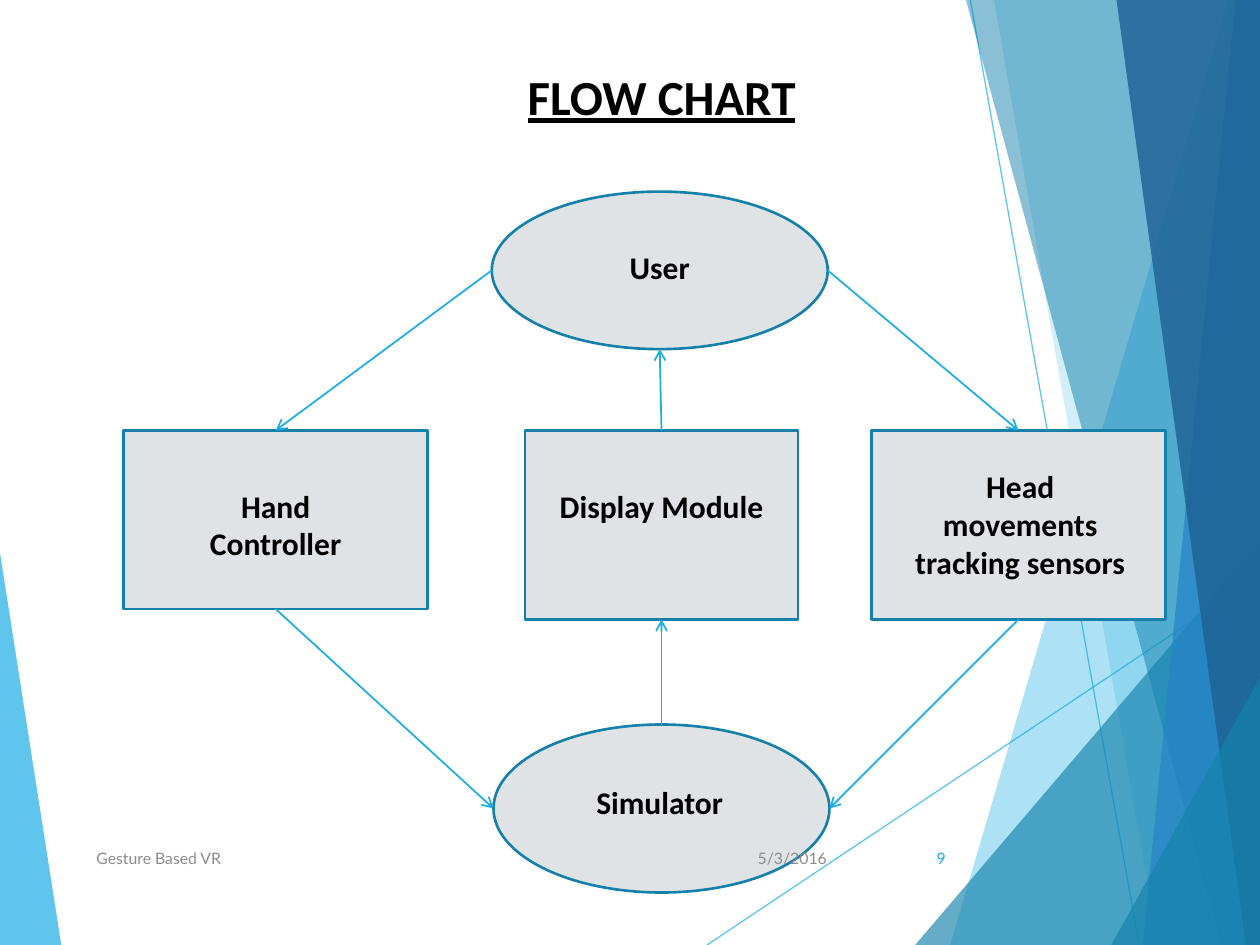
import pptx
import pptx.util
import pptx.dml.color
import pptx.enum.shapes
import pptx.enum.text
import pptx.oxml
import pptx.oxml.ns

Pt = pptx.util.Pt
RGB = pptx.dml.color.RGBColor
MSO = pptx.enum.shapes.MSO_SHAPE
ALIGN = pptx.enum.text.PP_ALIGN
ANCHOR = pptx.enum.text.MSO_ANCHOR
AUTO = pptx.enum.text.MSO_AUTO_SIZE

SKY = RGB(0x1C, 0xAD, 0xE4)
TEAL = RGB(0x14, 0x82, 0xAC)
BLUE = RGB(0x26, 0x83, 0xC6)
NAVY = RGB(0x1D, 0x62, 0x94)
OUTLINE = RGB(0x15, 0x80, 0xA9)
PANEL = RGB(0xDF, 0xE3, 0xE5)
BLACK = RGB(0, 0, 0)
GRAY = RGB(0x8C, 0x8C, 0x8C)

prs = pptx.Presentation()
prs.slide_width, prs.slide_height = Pt(720), Pt(540)
s = prs.slides.add_slide(prs.slide_layouts[5])


def add_line(x1, y1, x2, y2, width, end_tag):
    """Draw a straight sky-blue line and add one XML element to its line style."""
    c = s.shapes.add_connector(pptx.enum.shapes.MSO_CONNECTOR.STRAIGHT,
                               Pt(x1), Pt(y1), Pt(x2), Pt(y2))
    c.line.color.rgb = SKY
    c.line.width = Pt(width)
    sppr = c._element.spPr
    sppr.append(pptx.oxml.parse_xml("<a:effectLst %s/>" % pptx.oxml.ns.nsdecls("a")))
    element = pptx.oxml.parse_xml(end_tag % pptx.oxml.ns.nsdecls("a"))
    if element.tag.endswith("alpha"):
        sppr.find(".//" + pptx.oxml.ns.qn("a:srgbClr")).append(element)
    else:
        c.line._get_or_add_ln().append(element)
    return c


def write(sp, box, text, align, anchor, **font):
    """Place a text shape and fill it with one formatted run."""
    sp.left, sp.top, sp.width, sp.height = [Pt(v) for v in box]
    tf = sp.text_frame
    tf.word_wrap = True
    tf.auto_size = AUTO.NONE
    tf.vertical_anchor = anchor
    p = tf.paragraphs[0]
    p.alignment = align
    r = p.add_run()
    r.text = text
    r.font.color.rgb = font.pop("color")
    for name, value in font.items():
        setattr(r.font, name, value)


# Faceted background: two points make a line, more make a filled outline
ALPHA = '<a:alpha %%s val="%d"/>'
facets = [
    (SKY, 70, [(0, 316), (35, 540), (0, 540)]),
    (SKY, 70, [(404, 540), (720, 329)]),
    (SKY, 70, [(554.5, 0), (651, 540)]),
    (SKY, 36, [(702, 0), (543, 540), (720, 540), (720, 0)]),
    (SKY, 20, [(567.5, 0), (661.5, 540), (720, 540), (720, 0)]),
    (TEAL, 66, [(523, 540), (720, 309), (720, 540)]),
    (TEAL, 50, [(552.5, 0), (698.5, 540), (720, 540), (720, 0)]),
    (BLUE, 70, [(706.5, 0), (653, 540), (720, 540), (720, 0)]),
    (NAVY, 82, [(637.5, 0), (711.5, 540), (720, 540), (720, 0)]),
    (TEAL, 66, [(635, 540), (720, 387), (720, 540)]),
]
for color, opacity, points in facets:
    alpha = ALPHA % (opacity * 1000)
    if len(points) == 2:
        add_line(*points[0], *points[1], 0.75, alpha)
        continue
    fb = s.shapes.build_freeform(*points[0], scale=Pt(1))
    fb.add_line_segments(points[1:], close=True)
    sp = fb.convert_to_shape()
    sp.shadow.inherit = False
    sp.line.fill.background()
    sp.fill.solid()
    sp.fill.fore_color.rgb = color
    sp._element.spPr.find(".//" + pptx.oxml.ns.qn("a:srgbClr")).append(
        pptx.oxml.parse_xml(alpha % pptx.oxml.ns.nsdecls("a")))

# Title
write(s.shapes.title, (234, 34.5, 288, 41), "FLOW CHART", ALIGN.CENTER, ANCHOR.TOP,
      size=Pt(28), name="Calibri", bold=True, underline=True, color=BLACK)

# Flow chart nodes: preset, box, label, label box
nodes = {
    "user": (MSO.OVAL, (281, 109.5, 192, 90), "User", (335, 138, 84, 30)),
    "hand": (MSO.RECTANGLE, (70.5, 246, 174, 102), "Hand Controller", (93, 274.5, 129, 51)),
    "display": (MSO.RECTANGLE, (300, 246, 156, 108), "Display Module", (312, 274.5, 132, 29)),
    "head": (MSO.RECTANGLE, (498, 246, 168, 108), "Head movements tracking sensors",
             (514, 263.5, 138, 73)),
    "simulator": (MSO.OVAL, (282, 414, 192, 96), "Simulator", (320, 444, 114, 29)),
}
shapes = {}
for key, (preset, box, label, label_box) in nodes.items():
    sp = s.shapes.add_shape(preset, *[Pt(v) for v in box])
    sp.shadow.inherit = False
    sp.fill.solid()
    sp.fill.fore_color.rgb = PANEL
    sp.line.color.rgb = OUTLINE
    sp.line.width = Pt(1.5)
    shapes[key] = sp

# Arrows: ends, then the rectangle side each end is joined to (if any)
ARROW = '<a:tailEnd %s type="arrow"/>'
arrows = [
    ((281, 154.5, 157.5, 246), None, ("hand", 0)),
    ((378, 246, 377, 199.5), ("display", 0), None),
    ((473, 154.5, 582, 246), None, ("head", 0)),
    ((157.5, 348, 282, 462), ("hand", 2), None),
    ((582, 354, 474, 462), ("head", 2), None),
    ((378, 414, 378, 354), ("simulator", 0), ("display", 2)),
]
for ends, start, stop in arrows:
    c = add_line(*ends, 1, ARROW)
    if start:
        c.begin_connect(shapes[start[0]], start[1])
    if stop:
        c.end_connect(shapes[stop[0]], stop[1])

# Node labels
for preset, box, label, label_box in nodes.values():
    write(s.shapes.add_textbox(0, 0, 0, 0), label_box, label, ALIGN.CENTER, ANCHOR.TOP,
          size=Pt(18), name="Calibri", bold=True, color=BLACK)

# Footer: date, footer text, slide number
for left, width, text, align, color in [
    (425.5, 54, "5/3/2016", ALIGN.RIGHT, GRAY),
    (48, 364, "Gesture Based VR", ALIGN.LEFT, GRAY),
    (507.5, 40, "9", ALIGN.RIGHT, SKY),
]:
    write(s.shapes.add_textbox(0, 0, 0, 0), (left, 476, width, 29), text, align,
          ANCHOR.MIDDLE, size=Pt(9), name="Lato", color=color)

prs.save("out.pptx")
